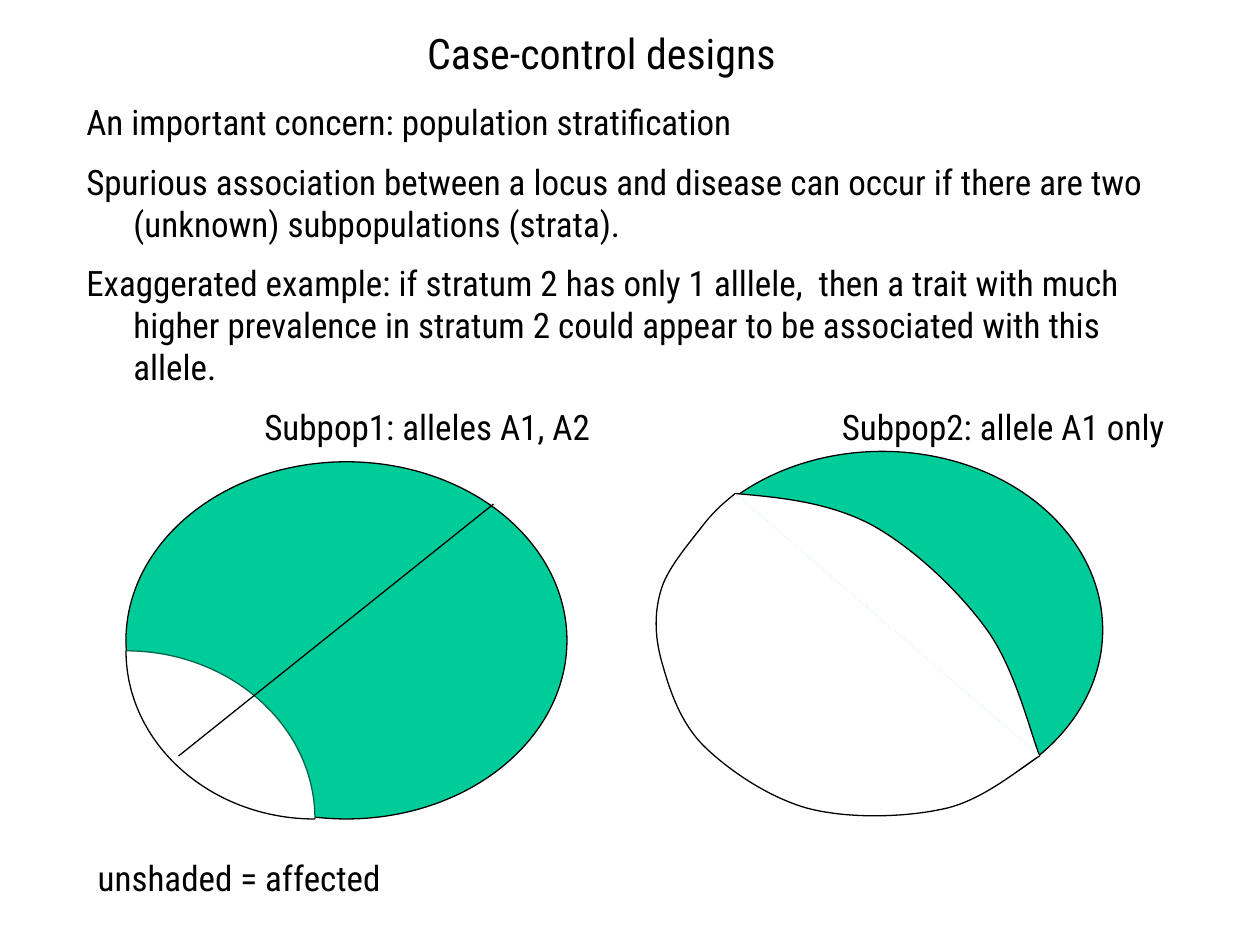
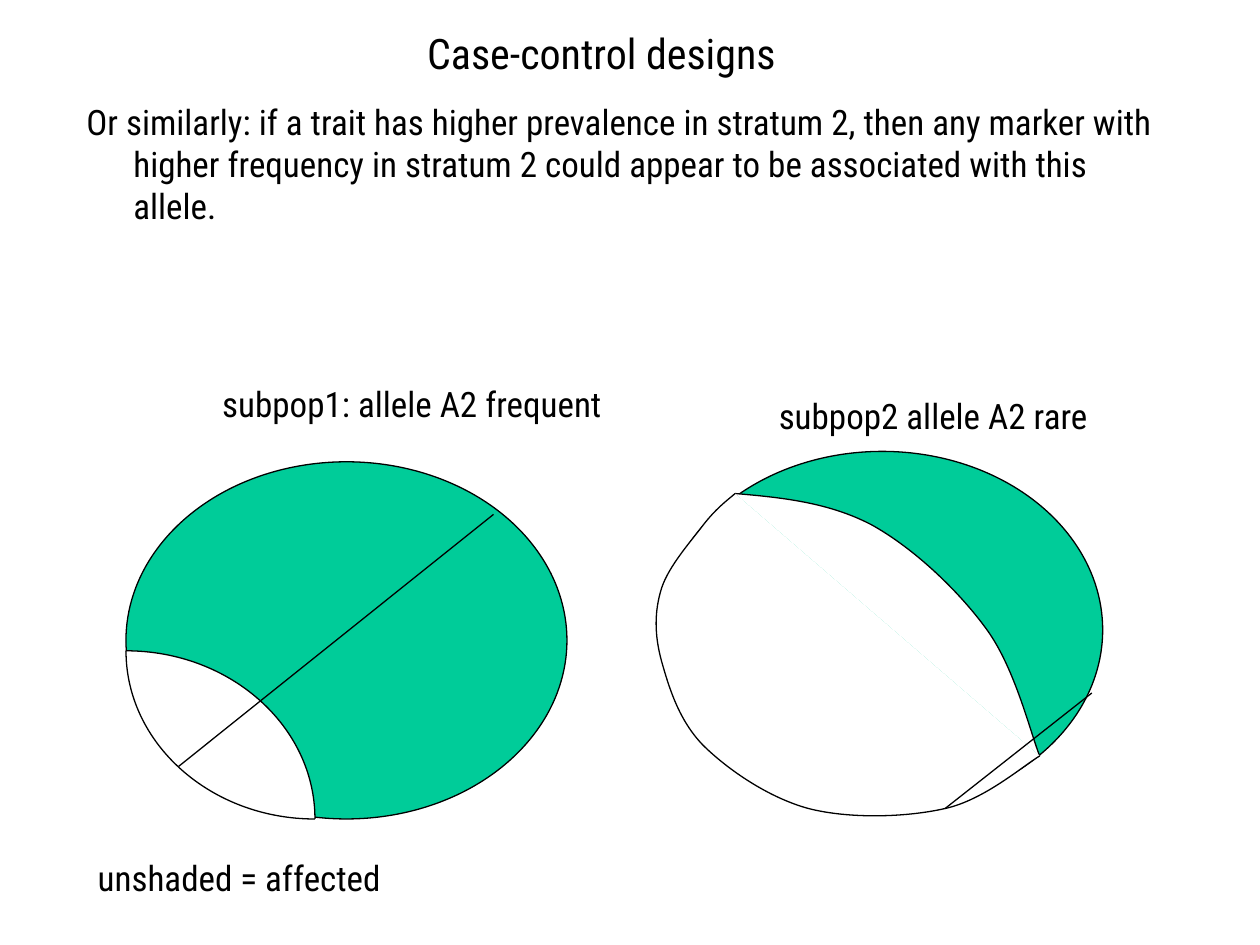
import copy

import pptx
import pptx.dml.color
import pptx.enum.shapes
import pptx.enum.text
import pptx.oxml.ns
import pptx.util
import lxml.etree

Cm = pptx.util.Cm
Pt = pptx.util.Pt
qn = pptx.oxml.ns.qn
FONT = "Roboto Condensed"
BLACK, WHITE, SHADED, DARK_GREEN = "000000", "FFFFFF", "00CC99", "00664D"


def paint(target, colour):
    if colour is None:
        target.background()
    else:
        target.solid()
        target.fore_color.rgb = pptx.dml.color.RGBColor.from_string(colour)


def add_curve(shapes, points, corner=None):
    vertices = [(Cm(x), Cm(y)) for x, y in points + ([corner] if corner else [])]
    builder = shapes.build_freeform(*vertices[0])
    builder.add_line_segments(vertices[1:], close=corner is not None)
    curve = builder.convert_to_shape()
    outline = curve._element.find(".//" + qn("a:path"))
    segments = outline.findall(qn("a:lnTo"))[:len(points) - 1]
    for first in range(0, len(segments), 3):
        bezier = lxml.etree.Element(qn("a:cubicBezTo"))
        segments[first].addprevious(bezier)
        for segment in segments[first:first + 3]:
            bezier.append(segment[0])
            outline.remove(segment)
    if corner:
        arc = copy.deepcopy(outline)
        for tag in ("a:lnTo", "a:close"):
            arc.remove(arc.find(qn(tag)))
        arc.set("fill", "none")
        outline.set("stroke", "0")
        outline.addprevious(arc)
    return curve


affected_arc = [(2.54, 13.12), (4.64, 13.12), (6.35, 14.64), (6.35, 16.51)]
affected_corner = (2.54, 16.51)
stratum_border = [
    (14.82, 9.95),
    (15.77, 10.03), (16.71, 10.13), (17.57, 10.58),
    (18.42, 11.05), (19.33, 11.91), (19.9, 12.7),
    (20.47, 13.49), (20.78, 14.8), (20.96, 15.24),
]
stratum_rim = [
    (14.82, 9.95),
    (14.63, 10.11), (14.43, 10.26), (14.18, 10.58),
    (13.94, 10.9), (13.49, 11.4), (13.34, 11.85),
    (13.19, 12.32), (13.19, 12.8), (13.34, 13.34),
    (13.49, 13.87), (13.69, 14.53), (14.18, 15.03),
    (14.68, 15.52), (15.49, 16.08), (16.3, 16.3),
    (17.12, 16.51), (18.26, 16.48), (19.05, 16.3),
    (19.84, 16.13), (20.65, 15.42), (20.96, 15.24),
]

designs = [
    {
        "concerns": [
            "An important concern: population stratification",
            "Spurious association between a locus and disease can occur if there are two "
            "(unknown) subpopulations (strata).",
            "Exaggerated example: if stratum 2 has only 1 alllele,  then a trait with much "
            "higher prevalence in stratum 2 could appear to be associated with this allele.",
        ],
        "labels": [
            ("Subpop1: alleles A1, A2", (5.08, 8.05, 8.26, 1.12)),
            ("Subpop2: allele A1 only", (16.72, 8.05, 8.68, 1.12)),
        ],
        "arc_colour": DARK_GREEN,
        "allele_lines": [(3.6, 15.24, 9.95, 10.16)],
    },
    {
        "concerns": [
            "Or similarly: if a trait has higher prevalence in stratum 2, then any marker with "
            "higher frequency in stratum 2 could appear to be associated with this allele.",
        ],
        "labels": [
            ("subpop1: allele A2 frequent", (4.23, 7.58, 9.1, 1.96)),
            ("subpop2 allele A2 rare", (15.45, 7.82, 9.53, 1.12)),
        ],
        "arc_colour": BLACK,
        "allele_lines": [(3.6, 15.45, 9.95, 10.37), (19.05, 16.3, 22.01, 13.97)],
    },
]

deck = pptx.Presentation()
deck.slide_width, deck.slide_height = Cm(25.4), Cm(19.05)
frame_format = {
    "margin_left": Cm(0.25),
    "margin_right": Cm(0.25),
    "margin_top": Cm(0.13),
    "margin_bottom": Cm(0.13),
    "vertical_anchor": pptx.enum.text.MSO_ANCHOR.TOP,
    "auto_size": pptx.enum.text.MSO_AUTO_SIZE.NONE,
}
left_align, centre_align = pptx.enum.text.PP_ALIGN.LEFT, pptx.enum.text.PP_ALIGN.CENTER

for design in designs:
    slide = deck.slides.add_slide(deck.slide_layouts[5])
    shapes = slide.shapes
    paint(slide.background.fill, WHITE)

    outlines = []
    for left, top in ((2.54, 9.31), (13.34, 9.1)):
        population = shapes.add_shape(
            pptx.enum.shapes.MSO_SHAPE.OVAL, Cm(left), Cm(top), Cm(8.89), Cm(7.2))
        outlines.append((population, SHADED, BLACK, 0))
    for points, corner, fill, line, turn in (
        (affected_arc, affected_corner, WHITE, design["arc_colour"], 0),
        (affected_arc, affected_corner, None, BLACK, 180),
        (stratum_border, None, WHITE, BLACK, 0),
        (stratum_rim, None, WHITE, BLACK, 0),
    ):
        outlines.append((add_curve(shapes, points, corner), fill, line, turn))
    for outline, fill, line, turn in outlines:
        outline.shadow.inherit = False
        outline.rotation = turn
        paint(outline.fill, fill)
        outline.line.width = Pt(0.75)
        paint(outline.line.fill, line)

    texts = [
        (["Case-control designs"], (7.73, 0.42, 8.79, 1.27), 24, False, centre_align),
        (design["concerns"], (1.49, 1.9, 22.43, 14.6), 20, True, left_align),
        (["unshaded = affected"], (1.72, 17.13, 7.29, 1.12), 20, False, left_align),
    ]
    texts += [([label], box, 20, True, left_align) for label, box in design["labels"]]
    for paragraphs, box, size, wrap, alignment in texts:
        if size == 24:
            holder = shapes.title
        else:
            holder = shapes.add_textbox(0, 0, 0, 0)
        for side, length in zip(("left", "top", "width", "height"), box):
            setattr(holder, side, Cm(length))
        frame = holder.text_frame
        for key, value in frame_format.items():
            setattr(frame, key, value)
        frame.word_wrap = wrap
        frame.text = "\n".join(paragraphs)
        for paragraph in frame.paragraphs:
            paragraph.alignment = alignment
            if paragraphs is design["concerns"]:
                paragraph.space_before = paragraph.space_after = Pt(5)
                indents = paragraph._p.get_or_add_pPr()
                indents.set("marL", str(Cm(0.95)))
                indents.set("indent", str(-Cm(0.95)))
            for run in paragraph.runs:
                run.font.name = FONT
                run.font.size = Pt(size)
                paint(run.font.fill, BLACK)

    for ends in design["allele_lines"]:
        allele_line = shapes.add_connector(
            pptx.enum.shapes.MSO_CONNECTOR.STRAIGHT, *[Cm(end) for end in ends])
        allele_line.line.width = Pt(0.75)
        paint(allele_line.line.fill, BLACK)
        lxml.etree.SubElement(allele_line._element.spPr, qn("a:effectLst"))

deck.save("out.pptx")
